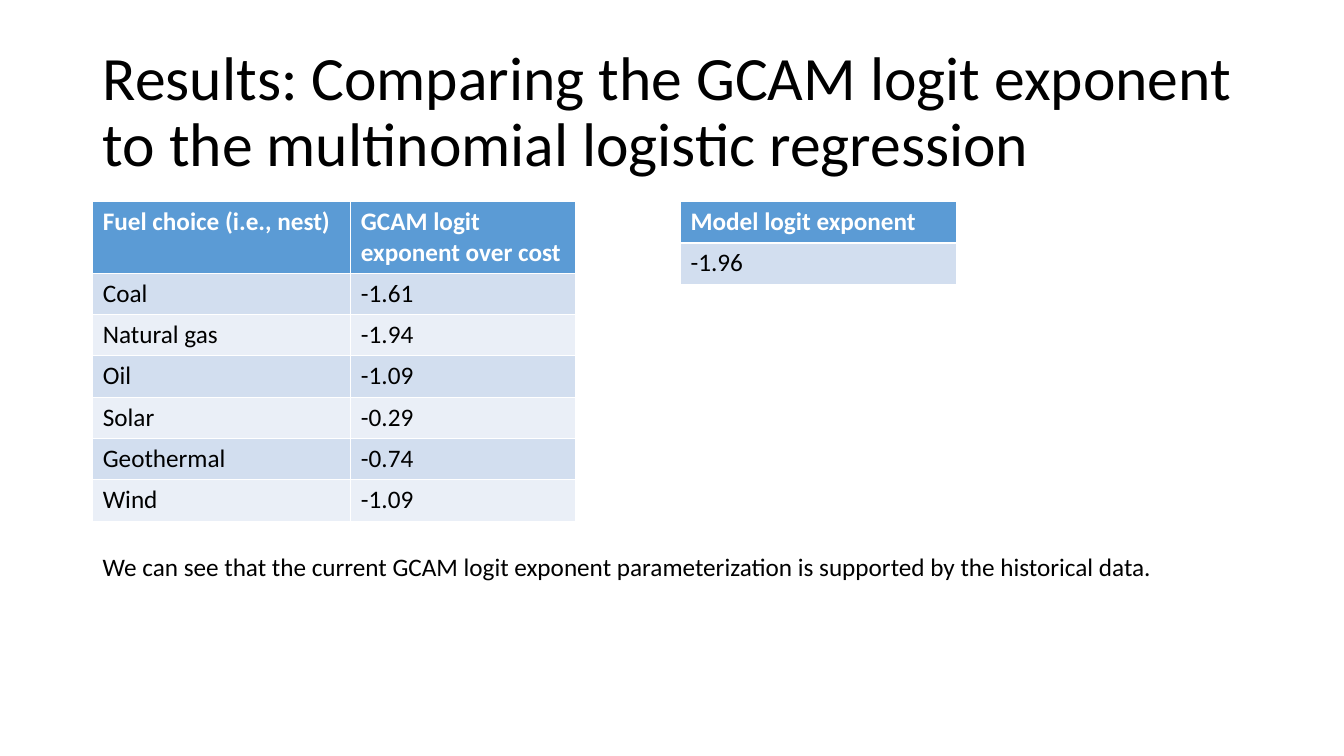
"""Build the slide comparing GCAM logit exponents with the regression model."""
from pptx import Presentation
from pptx.dml.color import RGBColor
from pptx.enum.text import MSO_ANCHOR, MSO_AUTO_SIZE, PP_ALIGN
from pptx.util import Inches, Pt

BLACK = RGBColor(0x00, 0x00, 0x00)
WHITE = RGBColor(0xFF, 0xFF, 0xFF)
HEADER = RGBColor(0x5B, 0x9B, 0xD5)
BANDS = [RGBColor(0xD2, 0xDE, 0xEF), RGBColor(0xEA, 0xEF, 0xF7)]
LEFT, TABLE_TOP, ROW_H = 0.92, 2, 0.41


def style_text(tf, size, color, bold=False):
    for p in tf.paragraphs:
        for r in p.runs:
            r.font.name = "Calibri"
            r.font.size = Pt(size)
            r.font.bold = bold
            r.font.color.rgb = color


def add_data_table(slide, left, widths, rows):
    frame = slide.shapes.add_table(
        len(rows), len(widths), Inches(left), Inches(TABLE_TOP),
        Inches(sum(widths)), Inches(ROW_H * len(rows)))
    table = frame.table
    for column, width in zip(table.columns, widths):
        column.width = Inches(width)
    for i, row in enumerate(rows):
        for j, text in enumerate(row):
            cell = table.cell(i, j)
            cell.text_frame.text = text
            cell.fill.solid()
            cell.fill.fore_color.rgb = BANDS[(i - 1) % 2] if i else HEADER
            style_text(cell.text_frame, 18, BLACK if i else WHITE, i == 0)


prs = Presentation()
prs.slide_width, prs.slide_height = Inches(13.33), Inches(7.5)
s = prs.slides.add_slide(prs.slide_layouts[5])

title = s.shapes.title
title.left, title.top = Inches(LEFT), Inches(0.4)
title.width, title.height = Inches(11.5), Inches(1.45)
tf = title.text_frame
tf.text = "Results: Comparing the GCAM logit exponent to the multinomial logistic regression"
tf.auto_size = MSO_AUTO_SIZE.NONE
tf.vertical_anchor = MSO_ANCHOR.MIDDLE
tf.paragraphs[0].alignment = PP_ALIGN.LEFT
tf.paragraphs[0].line_spacing = 0.9
style_text(tf, 44, BLACK)

add_data_table(s, 6.75, [2.74], [["Model logit exponent"], ["-1.96"]])
add_data_table(s, LEFT, [2.56, 2.23], [
    ["Fuel choice (i.e., nest)", "GCAM logit exponent over cost"],
    ["Coal", "-1.61"],
    ["Natural gas", "-1.94"],
    ["Oil", "-1.09"],
    ["Solar", "-0.29"],
    ["Geothermal", "-0.74"],
    ["Wind", "-1.09"],
])

note = s.shapes.add_textbox(Inches(LEFT), Inches(5.42), Inches(10.67), Inches(0.4))
tf = note.text_frame
tf.text = ("We can see that the current GCAM logit exponent parameterization "
           "is supported by the historical data.")
tf.word_wrap = False
tf.auto_size = MSO_AUTO_SIZE.SHAPE_TO_FIT_TEXT
style_text(tf, 18, BLACK)

prs.save("out.pptx")
